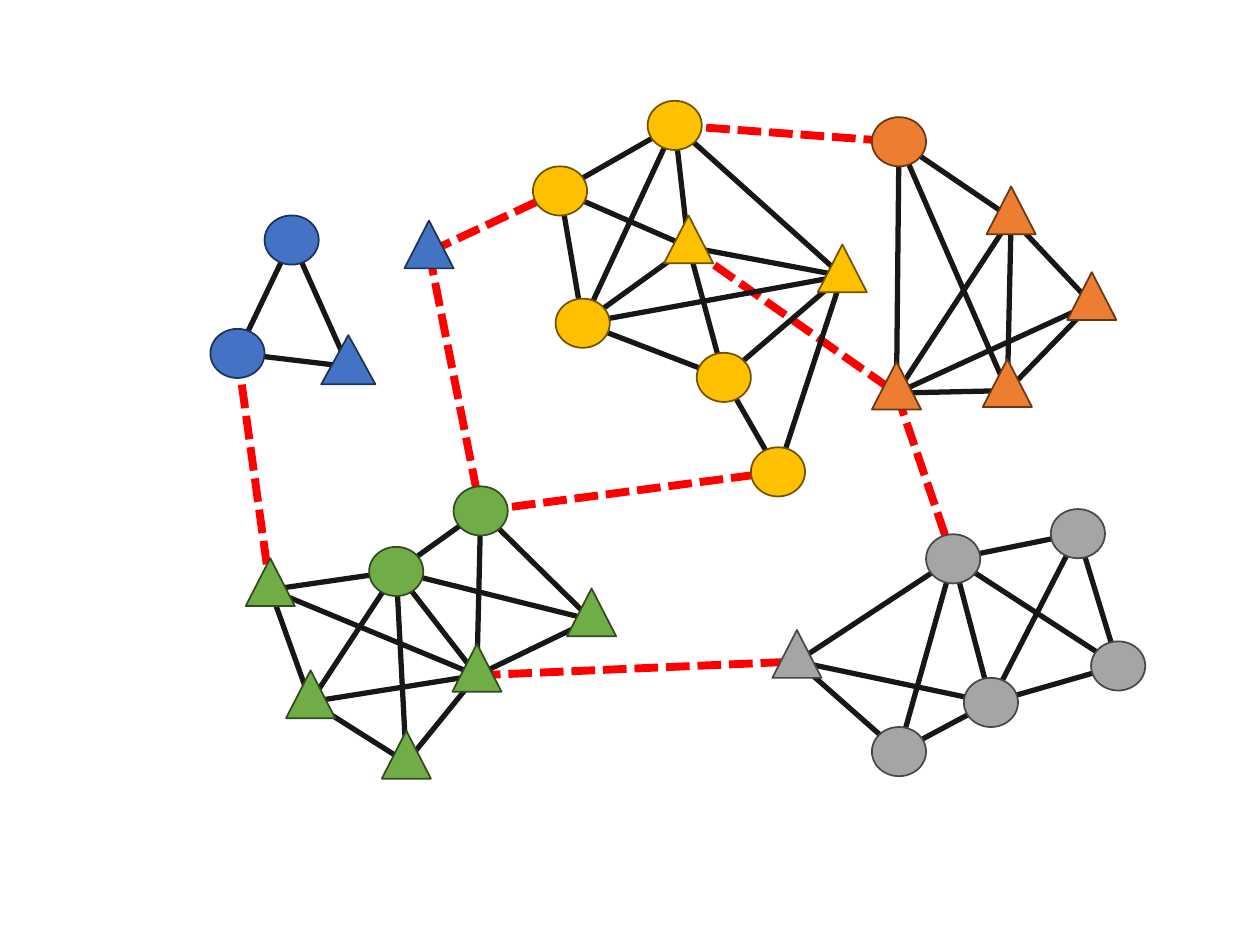
from dataclasses import dataclass

import pptx
import pptx.dml.color
import pptx.enum.dml
import pptx.enum.shapes
import pptx.oxml.ns
import pptx.util
from lxml import etree

Inches = pptx.util.Inches
Pt = pptx.util.Pt
Rgb = pptx.dml.color.RGBColor
Form = pptx.enum.shapes.MSO_SHAPE

COLORS = {
    "edge": "181717", "bridge": "FF0000",
    "blue": "4472C4", "blue rim": "1E3256",
    "green": "70AD47", "green rim": "314C1F",
    "yellow": "FFC000", "yellow rim": "705400",
    "orange": "ED7D31", "orange rim": "683715",
    "gray": "A5A5A5", "gray rim": "484848",
}


@dataclass(frozen=True)
class Node:
    left: float
    top: float
    form: Form = Form.OVAL
    width: float = 0.43
    height: float = 0.39

    @property
    def hub(self) -> tuple[float, float]:
        """Point where edges meet: the centre, or lower in a triangle."""
        drop = 0.25 if self.form == Form.ISOSCELES_TRIANGLE else self.height / 2
        return self.left + self.width / 2, self.top + drop


@dataclass(frozen=True)
class Group:
    color: str
    nodes: dict[str, Node]
    edges: str  # pairs of node keys


def tri(left: float, top: float, width: float = 0.39, height: float = 0.38) -> Node:
    return Node(left, top, Form.ISOSCELES_TRIANGLE, width, height)


GROUPS = [
    Group("blue", {
        "A": Node(1.67, 2.61), "B": tri(2.55, 2.66, 0.43, 0.39),
        "C": Node(2.1, 1.71), "D": tri(3.21, 1.75),
    }, "CB CA BA"),
    Group("green", {
        "A": Node(3.6, 3.86), "B": tri(1.95, 4.43), "C": tri(2.27, 5.32),
        "D": tri(3.03, 5.8), "E": tri(4.5, 4.67), "F": Node(2.93, 4.34),
        "G": tri(3.59, 5.11),
    }, "FG CD CG DG CF DF CB FB GB GA FA EA GE EF"),
    Group("yellow", {
        "A": Node(4.23, 1.32), "B": Node(4.41, 2.37), "C": Node(5.14, 0.8),
        "D": Node(5.53, 2.8), "E": tri(5.27, 1.71), "F": tri(6.49, 1.94),
        "G": Node(5.96, 3.55),
    }, "ED CE GD FD FG FE FB EB BD BA EA CA CF CB"),
    Group("orange", {
        "A": tri(8.47, 2.16), "B": tri(7.8, 2.85), "C": tri(6.92, 2.87),
        "D": tri(7.83, 1.48), "E": Node(6.92, 0.93),
    }, "AB DB DA BC DC AC DE CE BE"),
    Group("gray", {
        "A": Node(8.34, 4.04), "B": Node(7.35, 4.24), "C": Node(8.66, 5.09),
        "D": Node(7.65, 5.38), "E": Node(6.92, 5.77), "F": tri(6.13, 5),
    }, "BF BE ED DC AC BD BC BA DA EF DF"),
]

BRIDGES = [
    ("yellow E", "orange C"), ("yellow C", "orange E"),
    ("blue D", "yellow A"), ("blue D", "green A"),
    ("green A", "yellow G"), ("green G", "gray F"),
    ("blue A", "green B"), ("orange C", "gray B"),
]


def paint(name: str) -> Rgb:
    return Rgb.from_string(COLORS[name])


def draw_edge(slide: pptx.slide.Slide, start: Node, end: Node,
              color: str, weight: float, dashed: bool = False) -> None:
    ends = [Inches(value) for value in start.hub + end.hub]
    edge = slide.shapes.add_connector(
        pptx.enum.shapes.MSO_CONNECTOR.STRAIGHT, *ends)
    edge.line.color.rgb = paint(color)
    edge.line.width = Pt(weight)
    if dashed:
        edge.line.dash_style = pptx.enum.dml.MSO_LINE.SQUARE_DOT
    props = edge._element.spPr
    etree.SubElement(props, pptx.oxml.ns.qn("a:effectLst"))


def draw_node(slide: pptx.slide.Slide, node: Node, color: str) -> None:
    box = (node.left, node.top, node.width, node.height)
    shape = slide.shapes.add_shape(node.form, *map(Inches, box))
    shape.shadow.inherit = False
    shape.fill.solid()
    shape.fill.fore_color.rgb = paint(color)
    shape.line.color.rgb = paint(f"{color} rim")
    shape.line.width = Pt(1)


def draw_group(slide: pptx.slide.Slide, group: Group) -> None:
    for start, end in group.edges.split():
        draw_edge(slide, group.nodes[start], group.nodes[end], "edge", 3)
    for node in group.nodes.values():
        draw_node(slide, node, group.color)


def main() -> None:
    deck = pptx.Presentation()
    deck.slide_width, deck.slide_height = Inches(10), Inches(7.5)
    slide = deck.slides.add_slide(deck.slide_layouts[6])

    nodes = {f"{group.color} {key}": node
             for group in GROUPS for key, node in group.nodes.items()}
    for start, end in BRIDGES:
        draw_edge(slide, nodes[start], nodes[end], "bridge", 4.5, dashed=True)
    for group in GROUPS:
        draw_group(slide, group)
    deck.save("out.pptx")


if __name__ == "__main__":
    main()
